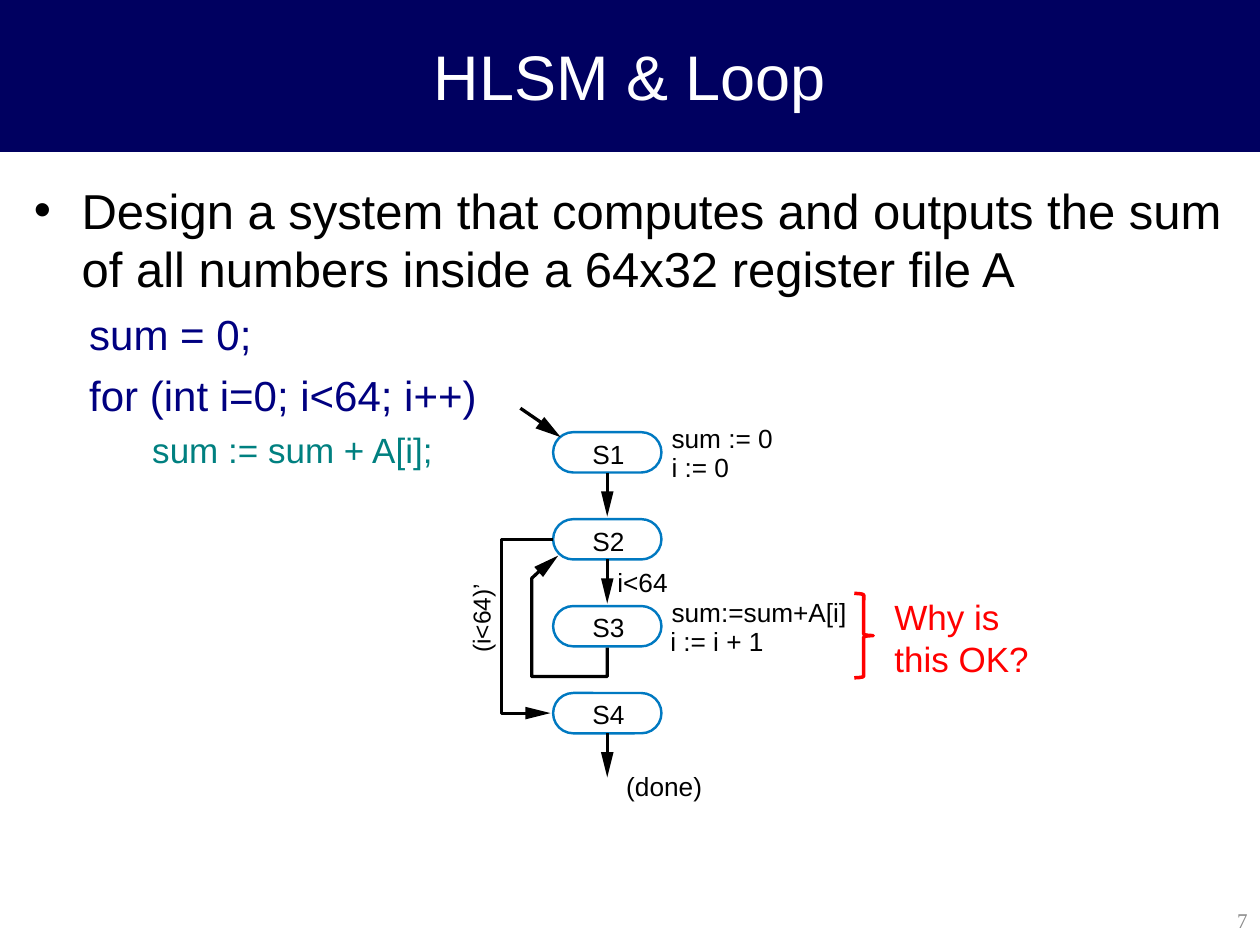
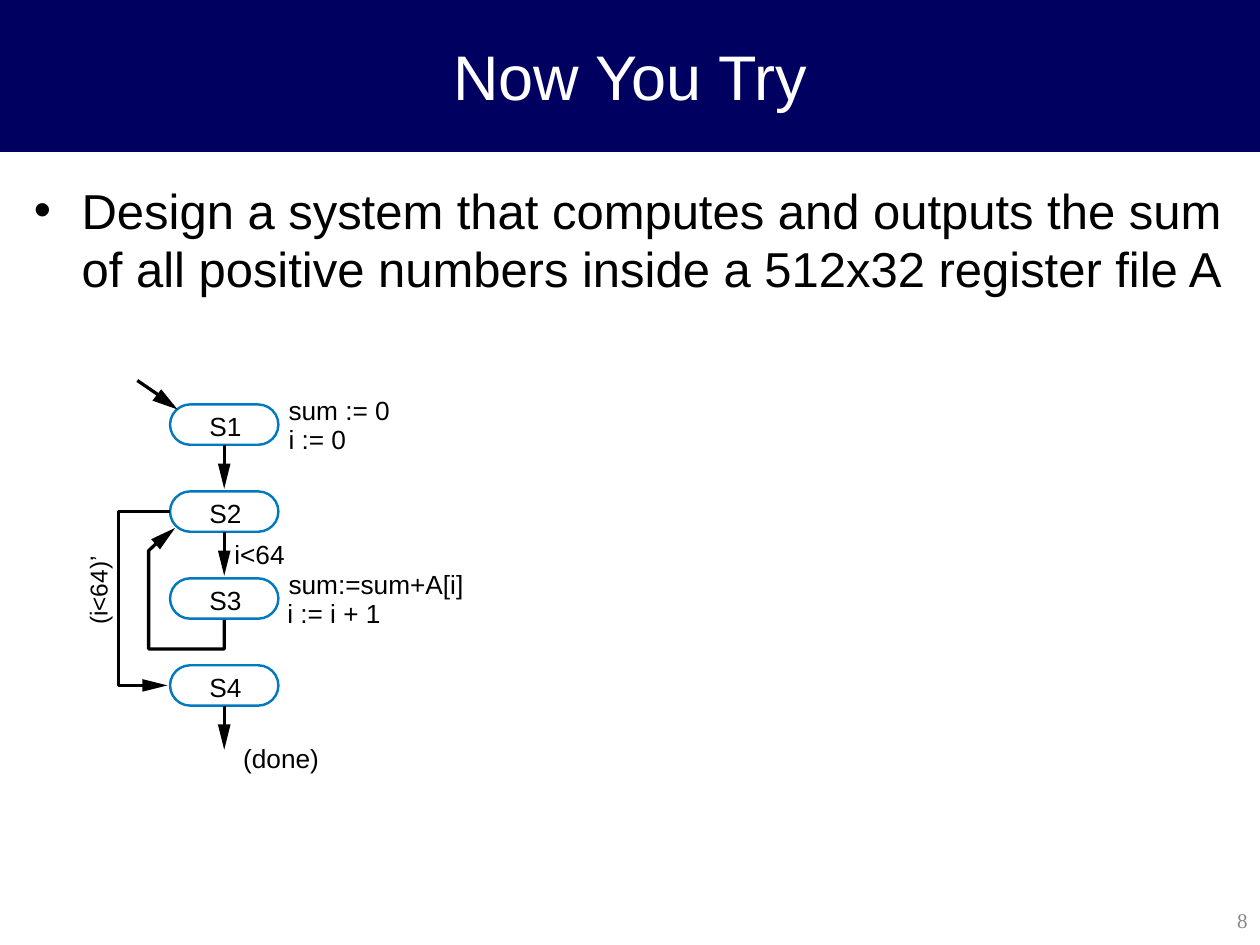
"""Build two slides on a looped high-level state machine."""
import pptx
import pptx.util
import pptx.dml.color
import pptx.enum.shapes
import pptx.enum.text
import pptx.oxml
import pptx.oxml.ns
import lxml.etree

Inches = pptx.util.Inches
Pt = pptx.util.Pt
RGB = pptx.dml.color.RGBColor.from_string
FORM = pptx.enum.shapes.MSO_SHAPE
ALIGN = pptx.enum.text.PP_ALIGN
MIDDLE = pptx.enum.text.MSO_ANCHOR.MIDDLE
qn = pptx.oxml.ns.qn

HUES = {"navy": "000060", "white": "FFFFFF", "black": "000000", "code": "000080",
        "teal": "008080", "red": "FF0000", "blue": "0079C1", "gray": "898989"}
WIDE, HIGH = 10, 7.5
BAND = 0.16 * HIGH
PILL_W, PILL_H, STEP = 0.86, 0.32, 0.69
MID = PILL_W / 2
STROKE = 1.87

TASK = "Design a system that computes and outputs the sum of all "
PAGES = [
    {"no": "7", "title": "HLSM & Loop", "at": (4.39, 3.43),
     "body": [(TASK + "numbers inside a 64x32 register file A", 28, "black", 0.38, 0),
              ("sum = 0;", 24, "code", 0.44, 6),
              ("for (int i=0; i<64; i++)", 24, "code", 0.44, 6),
              ("sum := sum + A[i];", 20, "teal", 0.94, 5)]},
    {"no": "8", "title": "Now You Try", "at": (1.35, 3.21),
     "body": [(TASK + "positive numbers inside a 512x32 register file A", 28, "black", 0.38, 0)]},
]
LABELS = [("sum := 0", 0.94, -0.08, 0.9), ("i := 0", 0.94, 0.15, 0.55),
          ("i<64", 0.51, 1.06, 0.45), ("sum:=sum+A[i]", 0.94, 1.3, 1.5),
          ("i := i + 1", 0.93, 1.53, 0.85), ("(done)", 0.58, 2.68, 0.7)]
LOOPS = [[(MID, 1.71), (MID, 1.94), (-0.17, 1.94), (-0.17, 1.16), (-0.03, 1.03)],
         [(-0.19, 2.23), (-0.41, 2.23), (-0.41, 0.85), (0, 0.85)]]
TIPS = [[(0.04, 0.98), (-0.15, 1.07), (-0.08, 1.15)],
        [(0.06, 0.04), (-0.07, -0.12), (-0.14, -0.03)],
        [(-0.02, 2.23), (-0.22, 2.18), (-0.22, 2.28)]]
DOWN = (0, 1, 3)
for row in DOWN:
    base = row * STEP + PILL_H
    TIPS.append([(MID, base + 0.35), (MID + 0.05, base + 0.15), (MID - 0.05, base + 0.15)])


def note(shapes, text, place, size, hue="black", font="Arial", inset=0, wrap=False):
    """Add a text box that holds one run."""
    box = shapes.add_textbox(*map(Inches, place))
    frame = box.text_frame
    frame.word_wrap = wrap
    frame.margin_left = frame.margin_right = Inches(inset)
    frame.margin_top = frame.margin_bottom = Inches(inset / 2)
    run = frame.paragraphs[0].add_run()
    run.text = text
    run.font.size, run.font.name = Pt(size), font
    run.font.color.rgb = RGB(HUES[hue])
    return box


def trace(shapes, left, top, points, solid):
    """Draw a filled arrow tip or an open bent line."""
    spots = [(Inches(left + x), Inches(top + y)) for x, y in points]
    pen = shapes.build_freeform(*spots[0], scale=1.0)
    pen.add_line_segments(spots[1:], close=solid)
    form = pen.convert_to_shape()
    form.shadow.inherit = False
    if solid:
        form.fill.solid()
        form.fill.fore_color.rgb = RGB(HUES["black"])
        form.line.fill.background()
    else:
        form.fill.background()
        form.line.color.rgb = RGB(HUES["black"])
        form.line.width = Pt(STROKE)


deck = pptx.Presentation()
deck.slide_width, deck.slide_height = Inches(WIDE), Inches(HIGH)
plan = deck.slide_layouts[5]

for page in PAGES:
    slide = deck.slides.add_slide(plan)
    shapes = slide.shapes

    if page is PAGES[0]:
        band = shapes.add_shape(FORM.RECTANGLE, 0, 0, Inches(WIDE), Inches(BAND))
        band.shadow.inherit = False
        band.fill.solid()
        band.fill.fore_color.rgb = band.line.color.rgb = RGB(HUES["navy"])
        band.line.width = Pt(0.75)
        plan.shapes._spTree.insert(2, band._element)

    title = shapes.title
    title.left, title.top, title.width, title.height = 0, 0, Inches(WIDE), Inches(BAND)
    title.text_frame.vertical_anchor = MIDDLE
    line = title.text_frame.paragraphs[0]
    line.alignment = ALIGN.CENTER
    run = line.add_run()
    run.text = page["title"]
    run.font.size, run.font.name = Pt(36), "Arial"
    run.font.color.rgb = RGB(HUES["white"])

    body = shapes.add_textbox(*map(Inches, (0.17, 1.38, WIDE - 0.34, 5.72))).text_frame
    body.word_wrap = True
    for rank, (text, size, hue, indent, space) in enumerate(page["body"]):
        line = body.add_paragraph() if rank else body.paragraphs[0]
        props = line._p.get_or_add_pPr()
        props.set("marL", str(Inches(indent)))
        props.set("indent", str(0 if rank else -Inches(indent)))
        if rank == 0:
            lxml.etree.SubElement(props, qn("a:buFont")).set("typeface", "Arial")
            lxml.etree.SubElement(props, qn("a:buChar")).set("char", "•")
        line.space_before = Pt(space)
        run = line.add_run()
        run.text = text
        run.font.size, run.font.name = Pt(size), "Arial"
        run.font.color.rgb = RGB(HUES[hue])

    count = note(shapes, page["no"], (7.88, 7.1, 2.12, 0.4), 12, "gray",
                 "Times New Roman", 0.1, True)
    count.text_frame.vertical_anchor = MIDDLE
    count.text_frame.paragraphs[0].alignment = ALIGN.RIGHT

    left, top = page["at"]
    links = [shapes.add_connector(1, *map(Inches, (left - 0.26, top - 0.19,
                                                   left - 0.07, top - 0.06)))]
    for row in range(4):
        high = top + row * STEP
        pill = shapes.add_shape(FORM.ROUNDED_RECTANGLE,
                                *map(Inches, (left, high, PILL_W, PILL_H)))
        pill.adjustments[0] = 0.5
        pill.shadow.inherit = False
        pill.fill.background()
        pill.line.color.rgb = RGB(HUES["blue"])
        pill.line.width = Pt(1.39)
        frame = pill.text_frame
        frame.margin_right = frame.margin_bottom = 0
        frame.margin_left = frame.margin_top = Inches(0.02)
        frame.vertical_anchor = MIDDLE
        frame.paragraphs[0].alignment = ALIGN.CENTER
        run = frame.paragraphs[0].add_run()
        run.text = f"S{row + 1}"
        run.font.size, run.font.name = Pt(15), "Arial"
        run.font.color.rgb = RGB(HUES["black"])
        if row in DOWN:
            foot = high + PILL_H
            link = shapes.add_connector(1, *map(Inches, (left + MID, foot,
                                                         left + MID, foot + 0.23)))
            link.begin_connect(pill, 2)
            links.append(link)
    for link in links:
        link.line.color.rgb = RGB(HUES["black"])
        link.line.width = Pt(STROKE)
        lxml.etree.SubElement(link._element.spPr, qn("a:effectLst"))

    for points in LOOPS:
        trace(shapes, left, top, points, False)
    for points in TIPS:
        trace(shapes, left, top, points, True)
    for text, x, y, width in LABELS:
        note(shapes, text, (left + x, top + y, width, 0.25), 15)
    side = note(shapes, "(i<64)’", (left - 0.85, top + 1.36, 0.55, 0.23), 14)
    side.rotation = 270

    if page is PAGES[0]:
        brace = shapes.add_shape(FORM.RIGHT_BRACE, *map(Inches, (6.78, 4.71, 0.15, 0.67)))
        brace.shadow.inherit = False
        brace.fill.background()
        brace.line.color.rgb = RGB(HUES["red"])
        brace.line.width = Pt(2)
        note(shapes, "Why is this OK?", (7, 4.68, 1.5, 0.77), 20, "red",
             inset=0.1, wrap=True)

deck.save("out.pptx")
